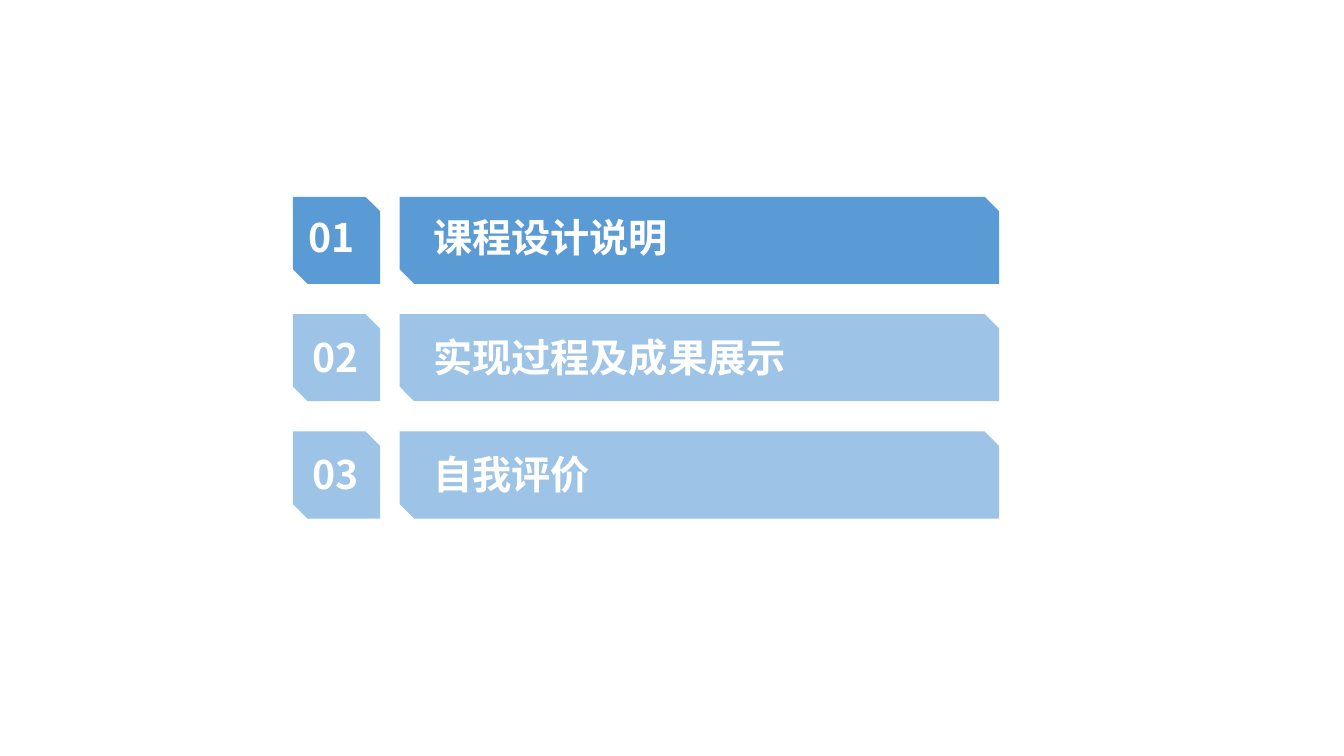
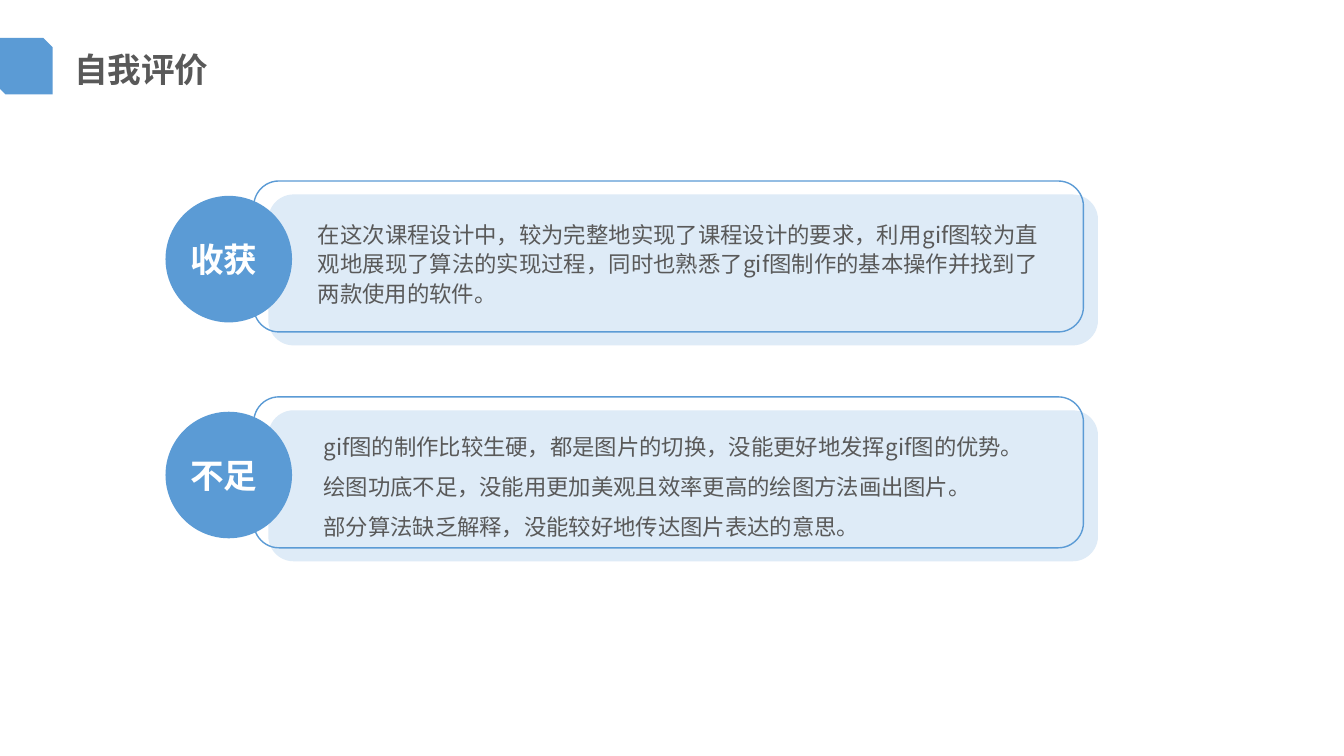
from dataclasses import dataclass

from lxml.etree import SubElement
from pptx import Presentation
from pptx.dml.color import RGBColor
from pptx.enum.shapes import MSO_SHAPE as Preset
from pptx.enum.text import MSO_ANCHOR as Anchor
from pptx.enum.text import MSO_AUTO_SIZE as AutoSize
from pptx.enum.text import PP_ALIGN as Align
from pptx.oxml.ns import qn
from pptx.util import Pt

FONT = "Noto Sans CJK SC"
BLUE, LIGHT_BLUE, PALE_BLUE = "5B9BD5", "9DC3E6", "DEEBF7"
WHITE, GREY = "FFFFFF", "595959"
TITLE_ONLY, BLANK = 5, 6


@dataclass(frozen=True)
class Area:
    """A rectangle on the page, in points."""
    left: float
    top: float
    width: float
    height: float

    def moved(self, right: float, down: float) -> "Area":
        """Return the same rectangle, shifted."""
        return Area(self.left + right, self.top + down, self.width, self.height)

    def lengths(self) -> list:
        """Return left, top, width and height as lengths."""
        return [Pt(value) for value in (self.left, self.top, self.width, self.height)]


@dataclass(frozen=True)
class TextStyle:
    """The look of all paragraphs in a box."""
    size: float
    color: str
    bold: bool = True
    align: Align = Align.LEFT
    spacing: float = 1.0
    gap: float = 0


@dataclass(frozen=True)
class AgendaItem:
    """A numbered agenda row."""
    number: str
    label: str
    fill: str
    number_left: float
    text_drop: float


@dataclass(frozen=True)
class Review:
    """A review card with a round heading."""
    heading: str
    lines: tuple[str, ...]
    text_left: float
    text_drop: float


AGENDA_STYLE = TextStyle(28, WHITE)
TITLE_STYLE = TextStyle(24, GREY)
HEADING_STYLE = TextStyle(24, WHITE)
BODY_STYLE = TextStyle(16, GREY, bold=False, align=Align.JUSTIFY, spacing=1.1, gap=7.4)

AGENDA = (
    AgendaItem("01", "课程设计说明", BLUE, 213, 8.6),
    AgendaItem("02", "实现过程及成果展示", LIGHT_BLUE, 216, 10),
    AgendaItem("03", "自我评价", LIGHT_BLUE, 216, 10),
)
REVIEWS = (
    Review("收获", (
        "在这次课程设计中，较为完整地实现了课程设计的要求，利用gif图较为"
        "直观地展现了算法的实现过程，同时也熟悉了gif图制作的基本操作并找"
        "到了两款使用的软件。",
    ), 220, 23),
    Review("不足", (
        "gif图的制作比较生硬，都是图片的切换，没能更好地发挥gif图的优势。",
        "绘图功底不足，没能用更加美观且效率更高的绘图方法画出图片。",
        "部分算法缺乏解释，没能较好地传达图片表达的意思。",
    ), 224, 20.4),
)


def rgb(color: str) -> RGBColor:
    """Turn a hex string into a colour."""
    return RGBColor.from_string(color)


def add_block(page, preset: Preset, area: Area, fill: str = "", line: str = "") -> None:
    """Draw a flat shape; an empty colour means none."""
    block = page.shapes.add_shape(preset, *area.lengths())
    block.shadow.inherit = False
    if fill:
        block.fill.solid()
        block.fill.fore_color.rgb = rgb(fill)
    else:
        block.fill.background()
    if line:
        block.line.color.rgb = rgb(line)
        block.line.width = Pt(1)
    else:
        block.line.fill.background()


def write(box, lines: tuple[str, ...], style: TextStyle) -> None:
    """Fill a box with styled paragraphs."""
    frame = box.text_frame
    frame.text = "\n".join(lines)
    frame.word_wrap = True
    frame.auto_size = AutoSize.NONE
    frame.vertical_anchor = Anchor.TOP
    for index, para in enumerate(frame.paragraphs):
        para.alignment = style.align
        para.line_spacing = style.spacing
        para.space_before = Pt(style.gap if index else 0)
        font = para.font
        font.name, font.size, font.bold = FONT, Pt(style.size), style.bold
        font.color.rgb = rgb(style.color)
        defaults = para._p.pPr.find(qn("a:defRPr"))
        SubElement(defaults, qn("a:ea")).set("typeface", FONT)


def add_text(page, area: Area, lines: tuple[str, ...], style: TextStyle) -> None:
    """Add a text box."""
    write(page.shapes.add_textbox(*area.lengths()), lines, style)


def add_title(page, title: str) -> None:
    """Draw the title marker and place the title."""
    add_block(page, Preset.SNIP_2_DIAG_RECTANGLE, Area(-2.8, 27, 40.4, 40.4), BLUE)
    box = page.shapes.title
    box.left, box.top, box.width, box.height = Area(45.7, 31, 400, 36).lengths()
    write(box, (title,), TITLE_STYLE)


def add_agenda_row(page, item: AgendaItem, top: float) -> None:
    """Draw one agenda row: a number tile and a label bar."""
    for left, width in ((209.3, 62.2), (285.5, 428.2)):
        add_block(page, Preset.SNIP_2_DIAG_RECTANGLE, Area(left, top, width, 62.2), item.fill)
    for left, width, text in ((item.number_left, 56, item.number), (302.4, 400, item.label)):
        add_text(page, Area(left, top + item.text_drop, width, 41), (text,), AGENDA_STYLE)


def add_review(page, review: Review, top: float) -> None:
    """Draw one review card: a panel, an offset frame, a heading and text."""
    frame = Area(181.3, top, 592.6, 107.8)
    add_block(page, Preset.ROUNDED_RECTANGLE, frame.moved(10.4, 9.6), PALE_BLUE)
    add_block(page, Preset.OVAL, Area(118.2, top + 10.6, 90.4, 90.4), BLUE)
    add_block(page, Preset.ROUNDED_RECTANGLE, frame, line=BLUE)
    add_text(page, Area(128.9, top + 37.6, 79, 36), (review.heading,), HEADING_STYLE)
    body = Area(review.text_left, top + review.text_drop, 528.5, 86)
    add_text(page, body, review.lines, BODY_STYLE)


def build() -> None:
    """Build and save the deck."""
    deck = Presentation()
    deck.slide_width, deck.slide_height = Pt(960), Pt(540)

    agenda_page = deck.slides.add_slide(deck.slide_layouts[BLANK])
    for index, item in enumerate(AGENDA):
        add_agenda_row(agenda_page, item, 140.6 + index * 83.8)

    review_page = deck.slides.add_slide(deck.slide_layouts[TITLE_ONLY])
    add_title(review_page, "自我评价")
    for index, review in enumerate(REVIEWS):
        add_review(review_page, review, 129.3 + index * 154.2)

    deck.save("out.pptx")


build()
